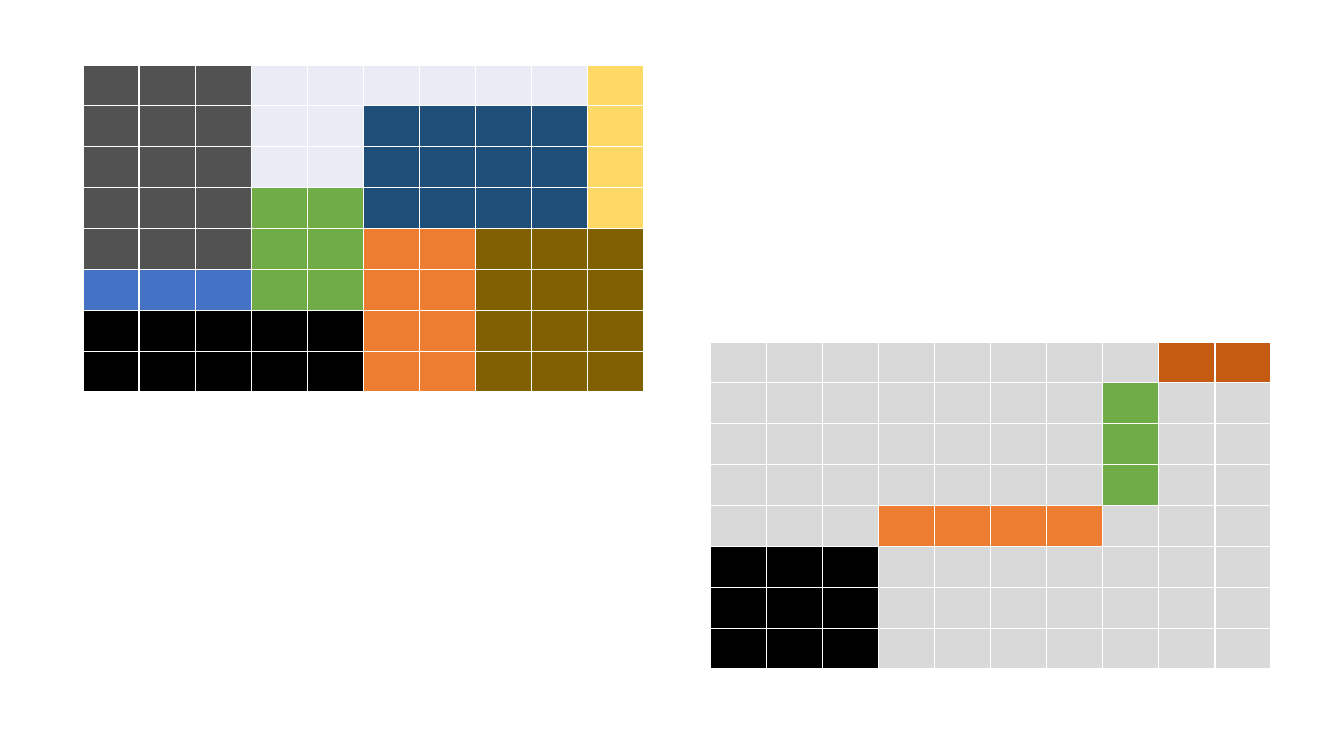
"""Build a slide with two tables of coloured cell blocks."""
from pptx import Presentation
from pptx.dml.color import RGBColor
from pptx.util import Emu, Inches

COLORS = {
    "S": "525252", "L": "E9EBF5", "Y": "FFD966", "N": "1F4E79",
    "G": "70AD47", "O": "ED7D31", "B": "806000", "U": "4472C4",
    "K": "000000", ".": "D9D9D9", "R": "C55A11",
}
GRIDS = [
    ((83, 65), [
        "SSSLLLLLLY",
        "SSSLLNNNNY",
        "SSSLLNNNNY",
        "SSSGGNNNNY",
        "SSSGGOOBBB",
        "UUUGGOOBBB",
        "KKKKKOOBBB",
        "KKKKKOOBBB",
    ]),
    ((710, 342), [
        "........RR",
        ".......G..",
        ".......G..",
        ".......G..",
        "...OOOO...",
        "KKK.......",
        "KKK.......",
        "KKK.......",
    ]),
]
WIDTH, HEIGHT = 561, 327
SCALE = 914400 / 100.8


def px(size):
    """Turn pixels into EMU."""
    return Emu(round(size * SCALE))


def add_grid(slide, spot, rows):
    """Add one table whose cells take their fills from letters."""
    left, top = spot
    table = slide.shapes.add_table(
        len(rows), len(rows[0]), px(left), px(top), px(WIDTH), px(HEIGHT)).table
    table.first_row = False
    table.horz_banding = False
    for r, row in enumerate(rows):
        for c, key in enumerate(row):
            fill = table.cell(r, c).fill
            fill.solid()
            fill.fore_color.rgb = RGBColor.from_string(COLORS[key])


deck = Presentation()
deck.slide_width, deck.slide_height = Inches(13.33), Inches(7.5)
slide = deck.slides.add_slide(deck.slide_layouts[6])
for spot, rows in GRIDS:
    add_grid(slide, spot, rows)
deck.save("out.pptx")
